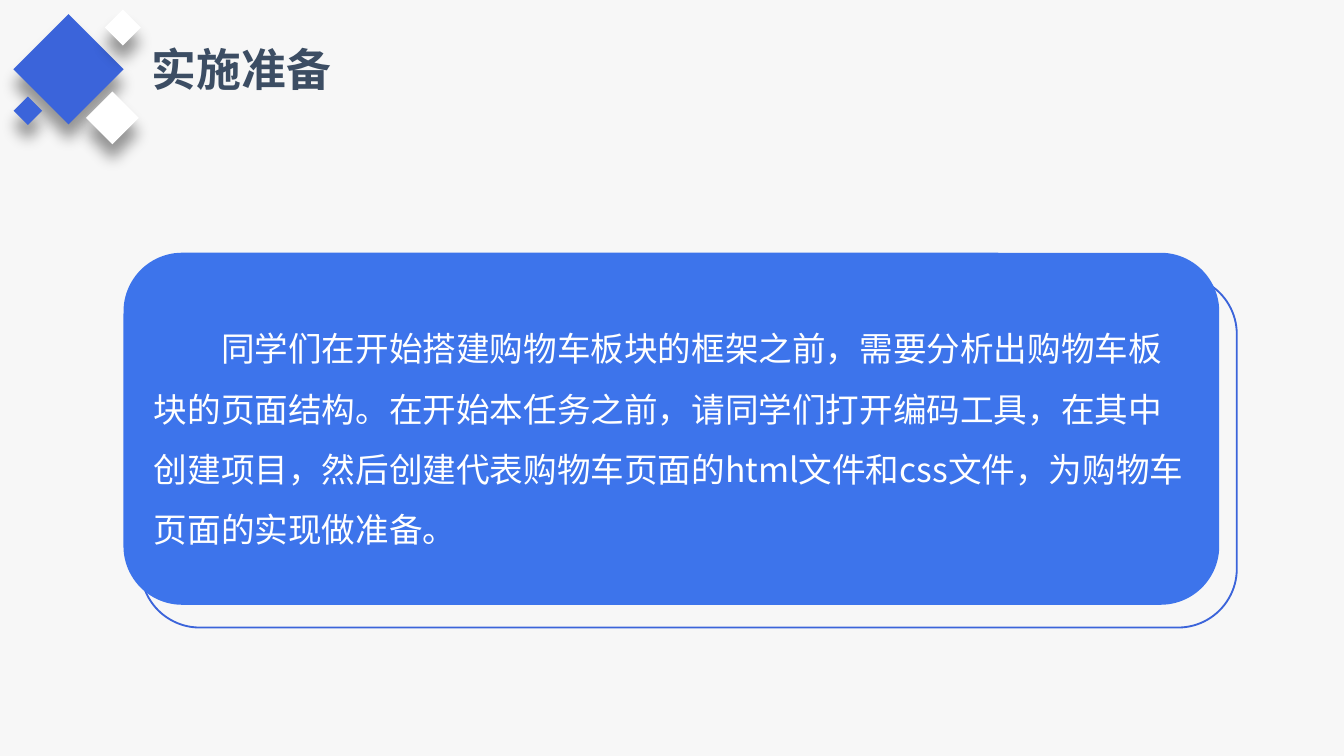
"""Build the preparation slide with a diamond motif and a text card."""
import pptx
import pptx.dml.color
import pptx.enum.shapes
import pptx.enum.text
import pptx.oxml
import pptx.oxml.ns
import pptx.util

Pt = pptx.util.Pt
RGBColor = pptx.dml.color.RGBColor
SHAPES = pptx.enum.shapes.MSO_SHAPE

BACKGROUND = RGBColor(0xF7, 0xF7, 0xF7)
BLUE = RGBColor(0x3B, 0x64, 0xDA)
CARD_BLUE = RGBColor(0x3D, 0x74, 0xEB)
SLATE = RGBColor(0x3C, 0x4D, 0x63)
WHITE = RGBColor(0xFF, 0xFF, 0xFF)
FONT = "Noto Sans CJK SC"
SHADOW = (
    f'<a:outerShdw {pptx.oxml.ns.nsdecls("a")} blurRad="{Pt(8)}" dist="{Pt(8)}" '
    'dir="5400000" algn="ctr" rotWithShape="0">'
    '<a:srgbClr val="000000"><a:alpha val="40000"/></a:srgbClr></a:outerShdw>'
)


def add_block(slide, kind, left, top, width, height, fill=None, line=None):
    shape = slide.shapes.add_shape(kind, Pt(left), Pt(top), Pt(width), Pt(height))
    shape.shadow.inherit = False
    if fill is None:
        shape.fill.background()
    else:
        shape.fill.solid()
        shape.fill.fore_color.rgb = fill
    if line is None:
        shape.line.fill.background()
    else:
        shape.line.color.rgb = line
        shape.line.width = Pt(1)
    return shape


def write_text(paragraph, text, size, color, bold=False):
    paragraph.text = text
    paragraph.alignment = pptx.enum.text.PP_ALIGN.LEFT
    for run in paragraph.runs:
        run.font.name = FONT
        run.font.size = Pt(size)
        run.font.bold = bold
        run.font.color.rgb = color
        east_asian = pptx.oxml.parse_xml(
            f'<a:ea {pptx.oxml.ns.nsdecls("a")} typeface="{FONT}"/>'
        )
        run.font._element.append(east_asian)


presentation = pptx.Presentation()
presentation.slide_width = Pt(720)
presentation.slide_height = Pt(405)
slide = presentation.slides.add_slide(presentation.slide_layouts[6])
slide.background.fill.solid()
slide.background.fill.fore_color.rgb = BACKGROUND

add_block(slide, SHAPES.ROUNDED_RECTANGLE, 75.6, 147.6, 587, 188.6, line=BLUE)

title = slide.shapes.add_textbox(Pt(74.2), Pt(18.7), Pt(111), Pt(36))
title.text_frame.word_wrap = False
title.text_frame.auto_size = pptx.enum.text.MSO_AUTO_SIZE.SHAPE_TO_FIT_TEXT
write_text(title.text_frame.paragraphs[0], "实施准备", 24, SLATE, bold=True)

diamonds = [
    (15.8, 16.2, 41.8, BLUE),
    (50.2, 53.2, 20, WHITE),
    (59, 7.9, 13.7, WHITE),
    (9.5, 54, 10.8, BLUE),
]
for left, top, side, color in diamonds:
    diamond = add_block(slide, SHAPES.RECTANGLE, left, top, side, side, fill=color)
    diamond.rotation = 45
    effects = diamond._element.spPr.find(pptx.oxml.ns.qn("a:effectLst"))
    effects.append(pptx.oxml.parse_xml(SHADOW))

card = add_block(slide, SHAPES.ROUNDED_RECTANGLE, 66.2, 135.4, 587, 188.6, fill=CARD_BLUE)
card.text_frame.word_wrap = True
card.text_frame.vertical_anchor = pptx.enum.text.MSO_ANCHOR.MIDDLE
paragraph = card.text_frame.paragraphs[0]
write_text(
    paragraph,
    "同学们在开始搭建购物车板块的框架之前，需要分析出购物车板块的页面结构。"
    "在开始本任务之前，请同学们打开编码工具，在其中创建项目，"
    "然后创建代表购物车页面的html文件和css文件，为购物车页面的实现做准备。",
    18,
    WHITE,
)
paragraph.line_spacing = 1.5
paragraph._p.get_or_add_pPr().set("indent", str(Pt(36)))

presentation.save("out.pptx")
